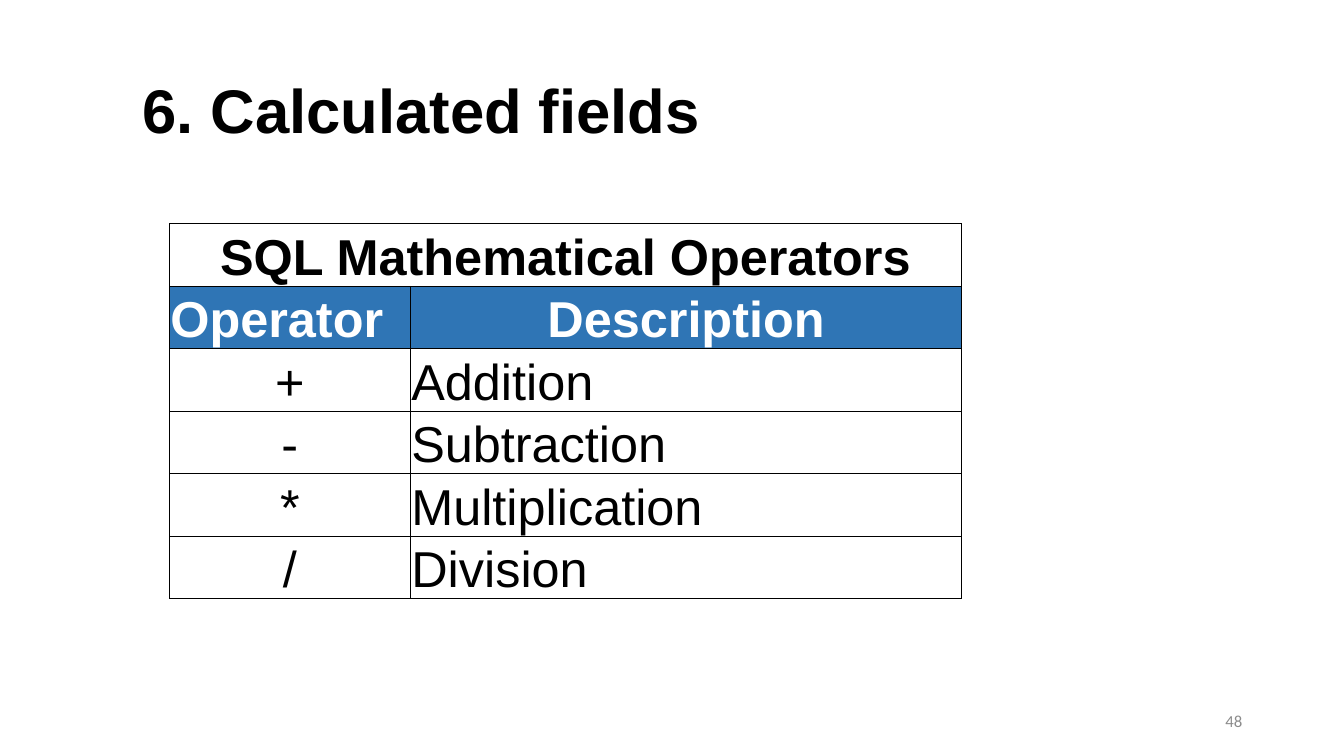
from dataclasses import dataclass

from lxml.etree import SubElement
from pptx import Presentation
from pptx.dml.color import RGBColor
from pptx.enum.text import MSO_ANCHOR, PP_ALIGN
from pptx.oxml.ns import qn
from pptx.util import Inches, Pt


@dataclass(frozen=True)
class Theme:
    ink: str = "000000"
    paper: str = "FFFFFF"
    band: str = "2F75B5"
    mute: str = "8C8C8C"
    face: str = "Arial"
    small: str = "Calibri"
    head: int = 44
    body: int = 36
    foot: int = 12
    rule: float = 0.5


THEME = Theme()
WIDE, HIGH = 13.33, 7.5
COLS = (2.39, 5.47)
ROW = 0.62
ROWS = [
    ("SQL Mathematical Operators", ""),
    ("Operator", "Description"),
    ("+", "Addition"),
    ("-", "Subtraction"),
    ("*", "Multiplication"),
    ("/", "Division"),
]


def write(frame, text, size, color, face=THEME.face, bold=False, align=PP_ALIGN.LEFT):
    frame.text = text
    para = frame.paragraphs[0]
    para.alignment = align
    font = para.font
    font.name, font.size, font.bold = face, Pt(size), bold
    font.color.rgb = RGBColor.from_string(color)


def edge(cell):
    props = cell._tc.get_or_add_tcPr()
    for side in ("lnL", "lnR", "lnT", "lnB"):
        line = SubElement(props, qn(f"a:{side}"), w=str(Pt(THEME.rule)))
        fill = SubElement(line, qn("a:solidFill"))
        SubElement(fill, qn("a:srgbClr"), val=THEME.ink)


def style(cell, text, row, col):
    edge(cell)
    if row == 1:
        cell.fill.solid()
        cell.fill.fore_color.rgb = RGBColor.from_string(THEME.band)
    else:
        cell.fill.background()
    cell.margin_left = cell.margin_right = cell.margin_top = Inches(0.01)
    cell.margin_bottom = 0
    cell.vertical_anchor = MSO_ANCHOR.BOTTOM
    mid = row == 0 or (row == 1) == (col == 1)
    write(cell.text_frame, text, THEME.body, THEME.paper if row == 1 else THEME.ink,
          bold=row < 2, align=PP_ALIGN.CENTER if mid else PP_ALIGN.LEFT)


def title(slide, text):
    shape = slide.shapes.title
    shape.left, shape.top = Inches(1.31), Inches(0.46)
    shape.width, shape.height = Inches(9), Inches(1.25)
    write(shape.text_frame, text, THEME.head, THEME.ink, bold=True)
    shape.text_frame.vertical_anchor = MSO_ANCHOR.MIDDLE


def grid(slide, rows):
    table = slide.shapes.add_table(
        len(rows), len(COLS), Inches(1.68), Inches(2.22),
        Inches(sum(COLS)), Inches(ROW * len(rows))).table
    table.horz_banding = table.first_row = False
    for col, width in zip(table.columns, COLS):
        col.width = Inches(width)
    for r, row in enumerate(rows):
        for c, text in enumerate(row):
            style(table.cell(r, c), text, r, c)
    table.cell(0, 0).merge(table.cell(0, 1))


def number(slide, text):
    box = slide.shapes.add_textbox(Inches(9.42), Inches(6.95), Inches(3), Inches(0.4))
    frame = box.text_frame
    frame.word_wrap = True
    frame.vertical_anchor = MSO_ANCHOR.MIDDLE
    write(frame, text, THEME.foot, THEME.mute, THEME.small, align=PP_ALIGN.RIGHT)


def main():
    deck = Presentation()
    deck.slide_width, deck.slide_height = Inches(WIDE), Inches(HIGH)
    slide = deck.slides.add_slide(deck.slide_layouts.get_by_name("Title Only"))
    title(slide, "6. Calculated fields")
    grid(slide, ROWS)
    number(slide, "48")
    deck.save("out.pptx")


if __name__ == "__main__":
    main()
